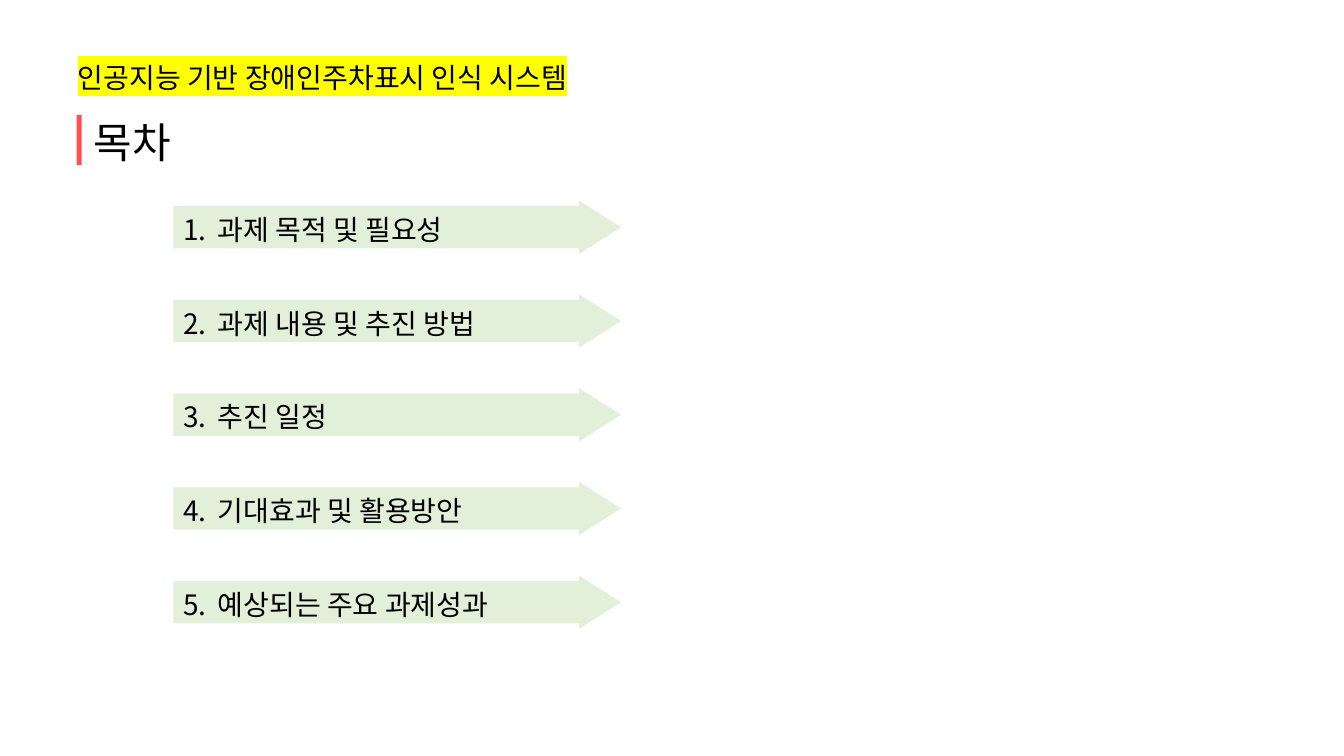
from lxml import etree
from pptx import Presentation
from pptx.dml.color import RGBColor
from pptx.enum import shapes, text
from pptx.oxml import ns
from pptx.util import Emu, Pt

PX = 9144  # 100 px to the inch
FONT = "Noto Sans CJK KR"
BLACK = RGBColor(0x00, 0x00, 0x00)
YELLOW = RGBColor(0xFF, 0xFF, 0x00)
RED = RGBColor(0xFF, 0x50, 0x50)
PALE_GREEN = RGBColor(0xE2, 0xF0, 0xD9)

FIRST_TOP, PITCH, ROW_HEIGHT = 199, 93, 53
TAB_STOP = 34
# wording and text box width
TOPICS = [
    ("과제 목적 및 필요성", 329),
    ("과제 내용 및 추진 방법", 435),
    ("추진 일정", 244),
    ("기대효과 및 활용방안", 435),
    ("예상되는 주요 과제성과", 435),
]


def add_block(kind, left, top, width, height, color):
    shape = slide.shapes.add_shape(kind, *[Emu(n * PX) for n in (left, top, width, height)])
    shape.shadow.inherit = False
    shape.fill.solid()
    shape.fill.fore_color.rgb = color
    shape.line.fill.background()
    return shape


def write_line(shape, wording, size, highlight=None, tab_stop=None):
    """Fill the shape with one left-aligned line of text."""
    frame = shape.text_frame
    frame.word_wrap = True
    frame.auto_size = text.MSO_AUTO_SIZE.NONE
    frame.vertical_anchor = text.MSO_ANCHOR.MIDDLE
    paragraph = frame.paragraphs[0]
    if tab_stop:
        properties = paragraph._p.get_or_add_pPr()
        tabs = etree.SubElement(properties, ns.qn("a:tabLst"))
        etree.SubElement(tabs, ns.qn("a:tab"), pos=str(tab_stop * PX), algn="l")
    paragraph.alignment = text.PP_ALIGN.LEFT
    paragraph.line_spacing = 0.9
    run = paragraph.add_run()
    run.text = wording
    run.font.size = Pt(size)
    run.font.color.rgb = BLACK
    properties = run._r.get_or_add_rPr()
    if highlight:
        mark = etree.SubElement(properties, ns.qn("a:highlight"))
        etree.SubElement(mark, ns.qn("a:srgbClr"), val=str(highlight))
    for script in ("a:latin", "a:ea"):
        etree.SubElement(properties, ns.qn(script), typeface=FONT)


presentation = Presentation()
presentation.slide_width = Emu(1333 * PX)
presentation.slide_height = Emu(750 * PX)
slide = presentation.slides.add_slide(presentation.slide_layouts[5])

title = slide.shapes.title
title.left, title.top, title.width, title.height = [Emu(n * PX) for n in (67, 52, 540, 53)]
write_line(title, "인공지능 기반 장애인주차표시 인식 시스템", 20, highlight=YELLOW)

add_block(shapes.MSO_SHAPE.RECTANGLE, 76, 114, 5, 50, RED)
heading = slide.shapes.add_textbox(*[Emu(n * PX) for n in (83, 117, 276, 53)])
write_line(heading, "목차", 30)

for index, (topic, width) in enumerate(TOPICS):
    top = FIRST_TOP + index * PITCH
    arrow = add_block(shapes.MSO_SHAPE.RIGHT_ARROW, 172, top, 444, ROW_HEIGHT, PALE_GREEN)
    arrow.adjustments[0] = arrow.adjustments[1] = 0.79
    label = slide.shapes.add_textbox(*[Emu(n * PX) for n in (172, top + 4, width, ROW_HEIGHT)])
    write_line(label, f"{index + 1}.\t{topic}", 20, tab_stop=TAB_STOP)

presentation.save("out.pptx")
